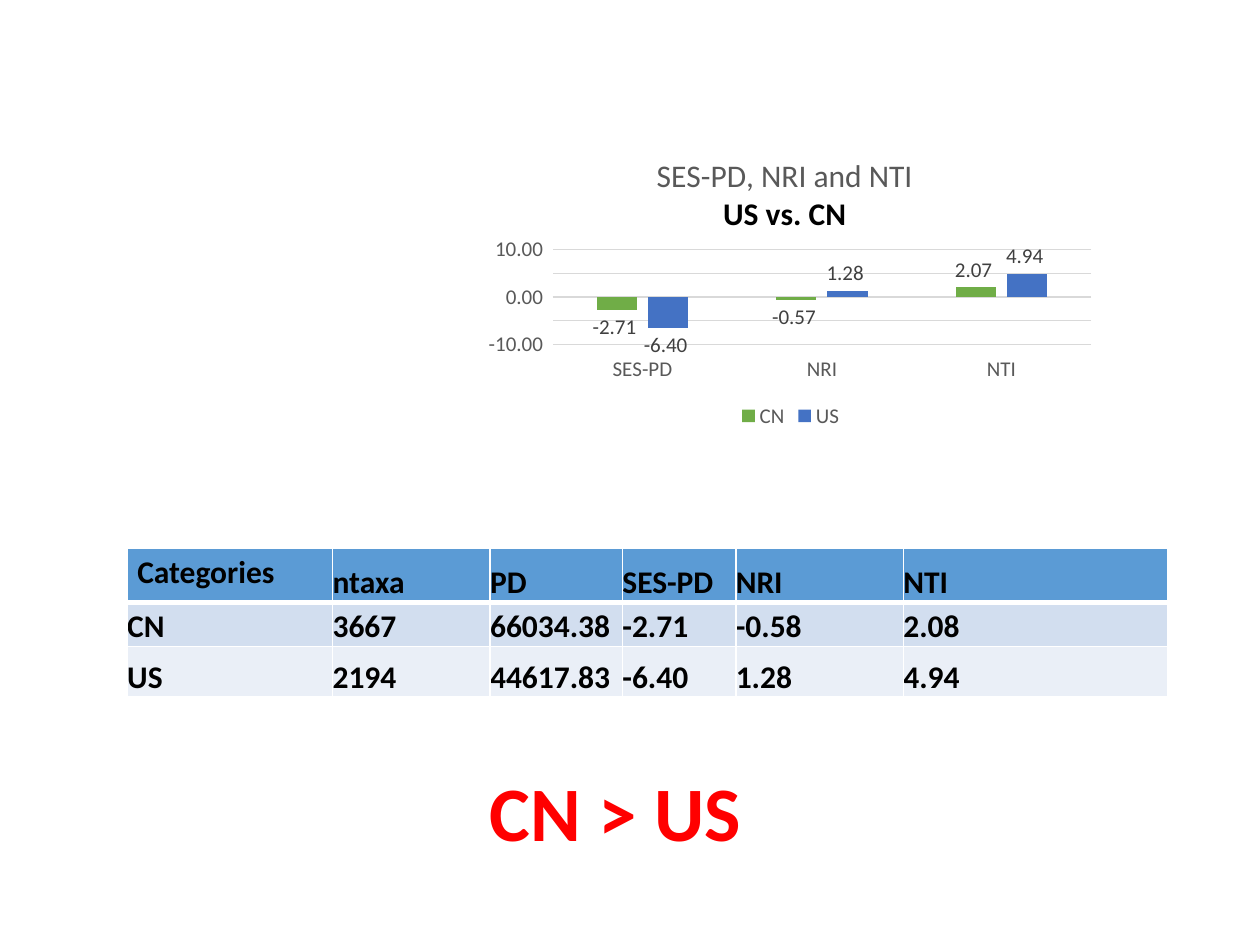
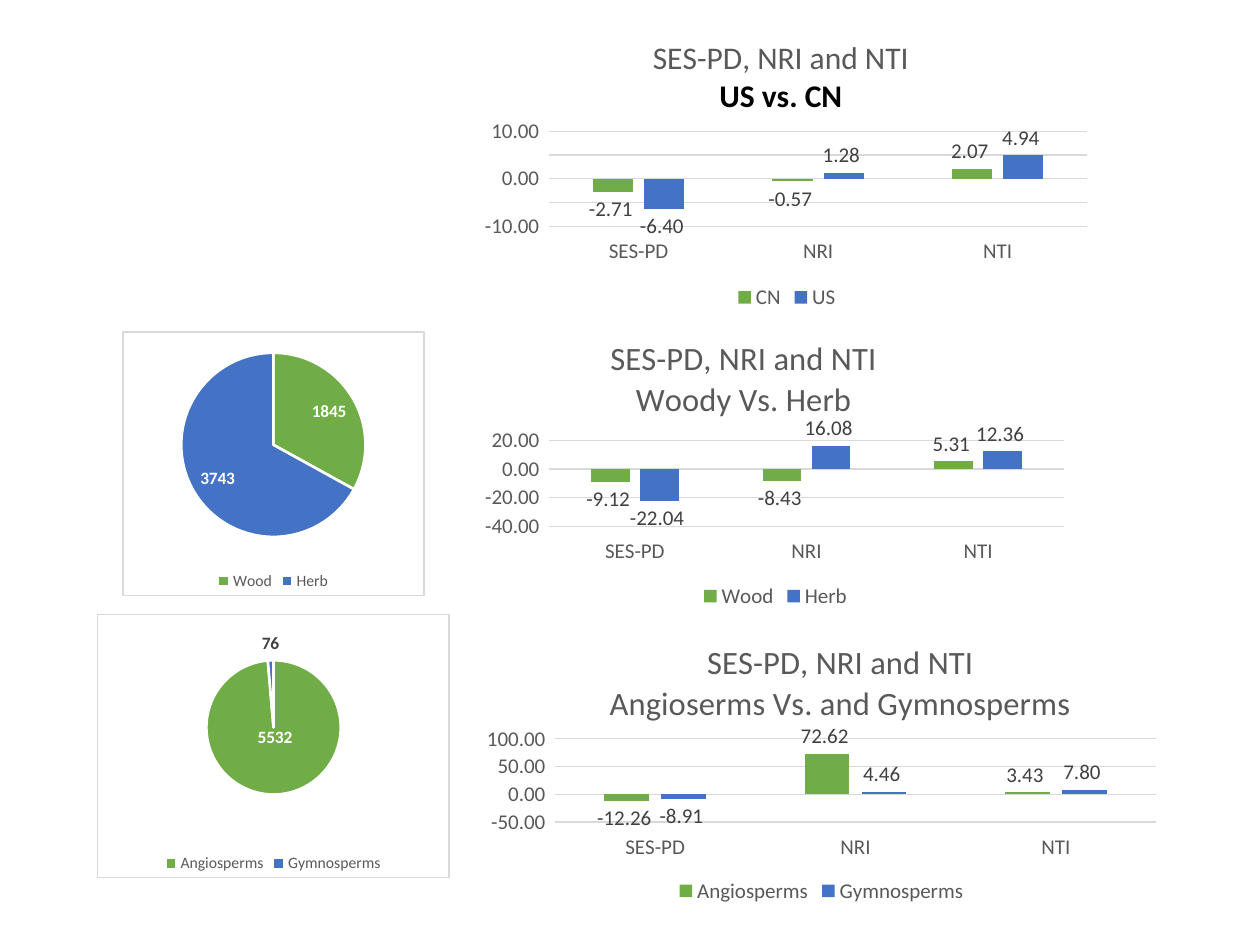
from lxml import etree
from pptx import Presentation
from pptx.chart.data import CategoryChartData
from pptx.dml.color import RGBColor
from pptx.enum.chart import (
    XL_CHART_TYPE as ChartType,
    XL_LABEL_POSITION as LabelPosition,
    XL_LEGEND_POSITION as LegendPosition,
    XL_TICK_LABEL_POSITION as TickLabelPosition,
    XL_TICK_MARK as TickMark,
)
from pptx.enum.text import MSO_ANCHOR as Anchor, MSO_AUTO_SIZE as AutoSize
from pptx.oxml import parse_xml
from pptx.oxml.ns import nsdecls, qn
from pptx.util import Inches, Pt

# Shared grid: 100 columns by 75 rows
SLIDE_WIDTH, SLIDE_HEIGHT = Inches(10), Inches(7.5)
COLUMN, ROW = SLIDE_WIDTH / 100, SLIDE_HEIGHT / 75

# Shared look
FONT = "Calibri"
BLACK, WHITE, RED = "000000", "FFFFFF", "FF0000"
GRAY, DARK_GRAY, LINE_GRAY = "595959", "404040", "D9D9D9"
SERIES_COLORS = ("70AD47", "4472C4")
TABLE_FILLS = ("5B9BD5", "D2DEEF", "EAEFF7")

METRICS = ("SES-PD", "NRI", "NTI")
CHART_HEADING = "SES-PD, NRI and NTI"
COUNTRY_CHART = {
    "subtitle": "US vs. CN",
    "series": {"CN": (-2.71, -0.57, 2.07), "US": (-6.40, 1.28, 4.94)},
    "scale": (-10, 10, 5),
    "title_at": (0.28, 0.07),
    "plot_at": (0.12, 0.395, 0.86, 0.313),
    "title_size": 18,
    "bold_subtitle": True,
}
GROWTH_CHART = {
    "subtitle": "Woody Vs. Herb",
    "series": {"Wood": (-9.12, -8.43, 5.31), "Herb": (-22.04, 16.08, 12.36)},
    "scale": (-40, 20, 20),
    "title_at": (0.22, 0.06),
    "plot_at": (0.125, 0.42, 0.853, 0.288),
}
SEED_CHART = {
    "subtitle": "Angioserms Vs. and Gymnosperms",
    "series": {"Angiosperms": (-12.26, 72.62, 3.43),
               "Gymnosperms": (-8.91, 4.46, 7.80)},
    "scale": (-50, 100, 50),
    "title_at": (0.19, 0.08),
    "plot_at": (0.117, 0.425, 0.864, 0.282),
}
TABLE_ROWS = (
    ("Categories", "ntaxa", "PD", "SES-PD", "NRI", "NTI"),
    ("CN", "3667", "66034.38", "-2.71", "-0.58", "2.08"),
    ("US", "2194", "44617.83", "-6.40", "1.28", "4.94"),
)


def color(hex_value):
    return RGBColor.from_string(hex_value)


def grid_box(left, top, width, height):
    return (round(left * COLUMN), round(top * ROW),
            round(width * COLUMN), round(height * ROW))


def style_font(font, size, hex_value, bold=False):
    font.name, font.size, font.bold = FONT, Pt(size), bold
    font.color.rgb = color(hex_value)


def style_line(line, hex_value, width):
    line.color.rgb = color(hex_value)
    line.width = Pt(width)


def set_layout(element, index, inner=False, **shares):
    """Place a chart part by shares of the chart's size."""
    for old_layout in element.findall(qn("c:layout")):
        element.remove(old_layout)
    layout = parse_xml(f"<c:layout {nsdecls('c')}><c:manualLayout/></c:layout>")
    values = {"layoutTarget": "inner"} if inner else {}
    if element.tag != qn("c:dLbl"):
        values.update(xMode="edge", yMode="edge")
    for name, value in {**values, **shares}.items():
        etree.SubElement(layout[0], qn(f"c:{name}")).set("val", str(value))
    element.insert(index, layout)


def add_base_chart(slide, box, kind, categories, series, plot_at, legend_size):
    """Chart with the font, legend and plot position that all charts need."""
    chart_data = CategoryChartData()
    chart_data.categories = categories
    for name, values in series.items():
        chart_data.add_series(name, values)
    chart = slide.shapes.add_chart(kind, *grid_box(*box), chart_data).chart
    style_font(chart.font, 10, BLACK)
    chart.has_title = False
    chart.has_legend = True
    chart.legend.position = LegendPosition.BOTTOM
    chart.legend.include_in_layout = False
    style_font(chart.legend.font, legend_size, GRAY)
    plot_area = chart.element.find(".//" + qn("c:plotArea"))
    set_layout(plot_area, 0, inner=True, **dict(zip("xywh", plot_at)))
    return chart


def add_metric_chart(slide, box, subtitle, series, scale, title_at, plot_at,
                     title_size=18.6, bold_subtitle=False):
    chart = add_base_chart(slide, box, ChartType.COLUMN_CLUSTERED, METRICS,
                           series, plot_at, 12)
    # Two-line title
    chart.has_title = True
    text_frame = chart.chart_title.text_frame
    text_frame.text = f"{CHART_HEADING}\n{subtitle}"
    heading, second_line = text_frame.paragraphs
    style_font(heading.runs[0].font, title_size, GRAY)
    style_font(second_line.runs[0].font, title_size,
               BLACK if bold_subtitle else GRAY, bold_subtitle)
    title = chart.element.find(".//" + qn("c:title"))
    set_layout(title, 1, **dict(zip("xy", title_at)))

    # Axes
    value_axis, category_axis = chart.value_axis, chart.category_axis
    for axis in (value_axis, category_axis):
        axis.major_tick_mark = axis.minor_tick_mark = TickMark.NONE
        style_font(axis.tick_labels.font, 12, GRAY)
    category_axis.tick_label_position = TickLabelPosition.LOW
    style_line(category_axis.format.line, LINE_GRAY, 0.75)
    value_axis.format.line.fill.background()
    style_line(value_axis.major_gridlines.format.line, LINE_GRAY, 0.75)
    (value_axis.minimum_scale, value_axis.maximum_scale,
     value_axis.major_unit) = scale
    value_axis.tick_labels.number_format = "0.00_ "
    value_axis.tick_labels.number_format_is_linked = False

    # Columns and their labels
    plot = chart.plots[0]
    plot.vary_by_categories = False
    plot.gap_width, plot.overlap = 219, -27
    for column_series, hex_value in zip(plot.series, SERIES_COLORS):
        column_series.invert_if_negative = False
        column_series.format.fill.solid()
        column_series.format.fill.fore_color.rgb = color(hex_value)
        labels = column_series.data_labels
        labels.show_value = True
        labels.position = LabelPosition.OUTSIDE_END
        labels.number_format = "0.00_ "
        labels.number_format_is_linked = False
        style_font(labels.font, 12, DARK_GRAY)


def add_count_pie(slide, box, counts, plot_at, label_styles):
    chart = add_base_chart(slide, box, ChartType.PIE, list(counts),
                           {"Series 1": list(counts.values())}, plot_at, 9)
    # White card with a thin border
    chart.element.find(qn("c:chart")).addnext(parse_xml(
        f'<c:spPr {nsdecls("c", "a")}>'
        f'<a:solidFill><a:srgbClr val="{WHITE}"/></a:solidFill>'
        f'<a:ln w="{Pt(0.75)}"><a:solidFill><a:srgbClr val="{LINE_GRAY}"/>'
        '</a:solidFill></a:ln></c:spPr>'))
    # Slices and their labels
    plot = chart.plots[0]
    plot.vary_by_categories = True
    for index, (position, label_color) in enumerate(label_styles):
        point = plot.series[0].points[index]
        point.format.fill.solid()
        point.format.fill.fore_color.rgb = color(SERIES_COLORS[index])
        style_line(point.format.line, WHITE, 1.5)
        style_font(point.data_label.font, 10, label_color, bold=True)
        point.data_label.position = position
    return chart


def set_cell_borders(cell, bottom_width):
    properties = cell._tc.get_or_add_tcPr()
    for index, side in enumerate("LRTB"):
        width = Pt(bottom_width if side == "B" else 1)
        properties.insert(index, parse_xml(
            f'<a:ln{side} {nsdecls("a")} w="{width}"><a:solidFill>'
            f'<a:srgbClr val="{WHITE}"/></a:solidFill></a:ln{side}>'))


def add_category_table(slide, box):
    table = slide.shapes.add_table(
        len(TABLE_ROWS), len(TABLE_ROWS[0]), *grid_box(*box)).table
    for column, width in zip(table.columns, (16.3, 12.5, 10.5, 9, 13.3, 21)):
        column.width = round(width * COLUMN)
    for row, height in zip(table.rows, (4.3, 3.5, 4)):
        row.height = round(height * ROW)
    for row_index, values in enumerate(TABLE_ROWS):
        for column_index, value in enumerate(values):
            cell = table.cell(row_index, column_index)
            is_corner = row_index == column_index == 0
            cell.margin_left = cell.margin_right = Inches(0.08 * is_corner)
            cell.margin_top = cell.margin_bottom = Inches(0.04 * is_corner)
            cell.vertical_anchor = Anchor.TOP if is_corner else Anchor.BOTTOM
            cell.fill.solid()
            cell.fill.fore_color.rgb = color(TABLE_FILLS[row_index])
            set_cell_borders(cell, 3 if row_index == 0 else 1)
            cell.text_frame.text = value
            style_font(cell.text_frame.paragraphs[0].runs[0].font, 18, BLACK, True)


def add_conclusion(slide, box):
    text_frame = slide.shapes.add_textbox(*grid_box(*box)).text_frame
    text_frame.word_wrap = True
    text_frame.auto_size = AutoSize.SHAPE_TO_FIT_TEXT
    text_frame.text = "CN > US"
    style_font(text_frame.paragraphs[0].runs[0].font, 44, RED, True)


def build_country_slide(slide):
    add_category_table(slide, (10.1, 43.5, 82.7, 11.8))
    add_metric_chart(slide, (37.9, 10.3, 49.7, 24.1), **COUNTRY_CHART)
    add_conclusion(slide, (37.9, 60.2, 31.5, 8.4))


def build_comparison_slide(slide):
    # Column charts share a left edge
    chart_left = 37.6
    add_metric_chart(slide, (chart_left, 0.9, 49.7, 24.1), **COUNTRY_CHART)
    add_metric_chart(slide, (chart_left, 25, 47.9, 23.7), **GROWTH_CHART)
    add_metric_chart(slide, (chart_left, 48.7, 55.2, 23.4), **SEED_CHART)

    # Pies with the number of taxa
    inside = (LabelPosition.INSIDE_END, WHITE)
    add_count_pie(slide, (9.7, 26.3, 24, 21), {"Wood": 1845, "Herb": 3743},
                  (0.194, 0.079, 0.612, 0.7), (inside, inside))
    seed_pie = add_count_pie(
        slide, (7.7, 48.7, 28, 21), {"Angiosperms": 5532, "Gymnosperms": 76},
        (0.309, 0.175, 0.383, 0.51),
        ((LabelPosition.CENTER, WHITE), (LabelPosition.OUTSIDE_END, DARK_GRAY)))
    first_label = seed_pie.element.find(".//" + qn("c:dLbl"))
    set_layout(first_label, 1, x=0, y=-0.09)


def main():
    presentation = Presentation()
    presentation.slide_width, presentation.slide_height = SLIDE_WIDTH, SLIDE_HEIGHT
    blank_layout = presentation.slide_layouts[6]
    for build in (build_country_slide, build_comparison_slide):
        build(presentation.slides.add_slide(blank_layout))
    presentation.save("out.pptx")


if __name__ == "__main__":
    main()
